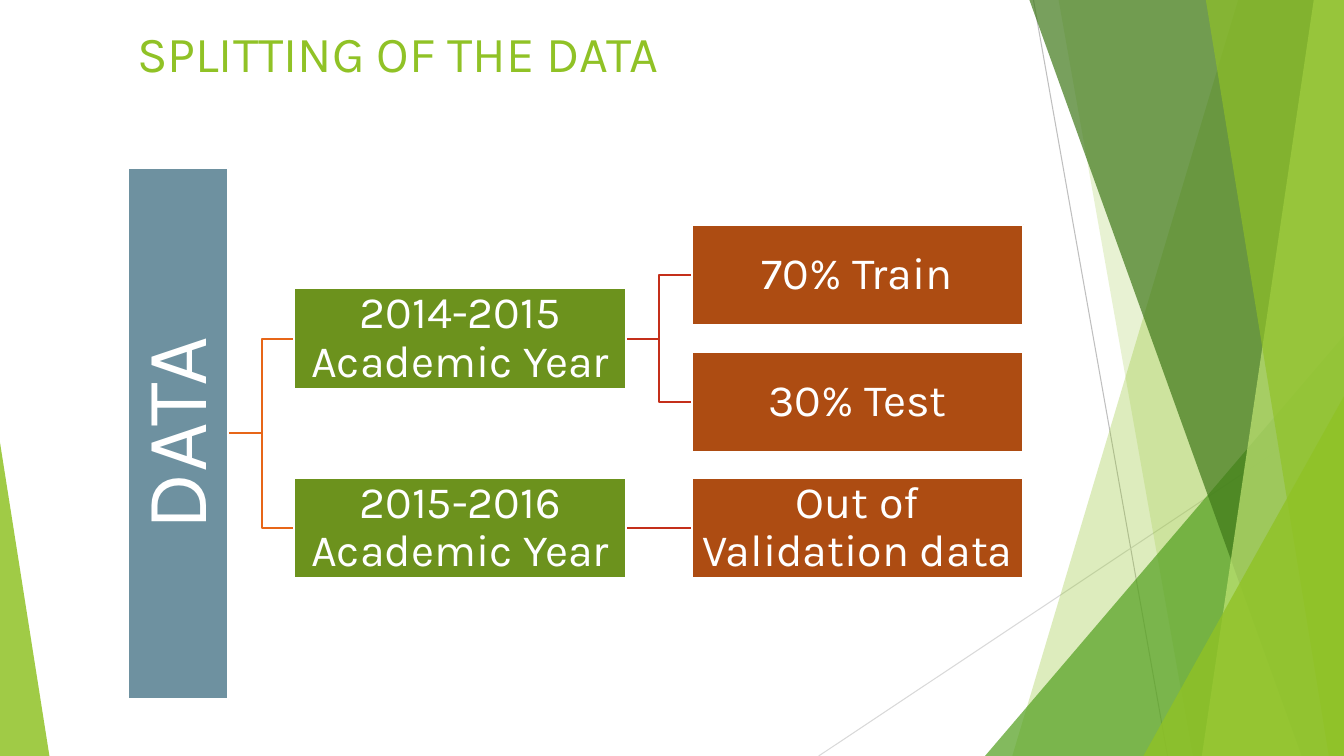
from lxml import etree
from pptx import Presentation
from pptx import util as u
from pptx.dml.color import RGBColor
from pptx.enum import shapes, text
from pptx.oxml import ns

WHITE = RGBColor(0xFF, 0xFF, 0xFF)
LIME = RGBColor(0x90, 0xC2, 0x26)
PALE = RGBColor(0xC0, 0xE4, 0x74)
GREEN = RGBColor(0x54, 0xA0, 0x21)
DARK = RGBColor(0x3F, 0x78, 0x19)
SLATE = RGBColor(0x6E, 0x91, 0xA0)
OLIVE = RGBColor(0x6C, 0x92, 0x1D)
RUST = RGBColor(0xAD, 0x4C, 0x12)
ORANGE = RGBColor(0xE7, 0x66, 0x18)
RED = RGBColor(0xC4, 0x2F, 0x1A)
GREY = RGBColor(0xBF, 0xBF, 0xBF)
SILVER = RGBColor(0xD9, 0xD9, 0xD9)
WIDE, HIGH = 13.33, 7.5

deck = Presentation()
deck.slide_width = u.Inches(WIDE)
deck.slide_height = u.Inches(HIGH)
slide = deck.slides.add_slide(deck.slide_layouts[5])
tree = slide.shapes


def wire(kind, ends, color, width):
    line = tree.add_connector(kind, *map(u.Inches, ends))
    line.line.color.rgb = color
    line.line.width = u.Pt(width)
    etree.SubElement(line._element.spPr, ns.qn("a:effectLst"))


def tint(shape, color, alpha=100):
    shape.shadow.inherit = False
    shape.fill.solid()
    shape.fill.fore_color.rgb = color
    shape.line.fill.background()
    if alpha < 100:
        mark = shape._element.spPr.find(".//" + ns.qn("a:srgbClr"))
        etree.SubElement(mark, ns.qn("a:alpha"), val=str(alpha * 1000))


straight = shapes.MSO_CONNECTOR.STRAIGHT
elbow = shapes.MSO_CONNECTOR.ELBOW
wire(straight, (10.25, 0, 11.58, HIGH), GREY, 0.75)
wire(straight, (WIDE, 4.03, 8.12, HIGH), SILVER, 0.75)

facets = [
    ("band", 12.28, 10.04, LIME, 30),
    ("band", 10.5, 11.83, LIME, 20),
    ("peak", 9.77, 3.33, 3.56, 1, GREEN, 72),
    ("band", 10.21, 12.91, DARK, 70),
    ("band", 13.03, 11.92, PALE, 70),
    ("band", 11.96, 13.18, LIME, 65),
    ("peak", 11.34, 3.93, 1.99, 1, LIME, 80),
    ("peak", 0, 4.39, 0.49, 0, LIME, 85),
]
for kind, *spot, color, alpha in facets:
    if kind == "band":
        top, foot = spot
        pen = tree.build_freeform(u.Inches(top), 0)
        rest = [(WIDE, 0), (WIDE, HIGH), (foot, HIGH)]
        pen.add_line_segments([(u.Inches(x), u.Inches(y)) for x, y in rest])
        facet = pen.convert_to_shape()
    else:
        left, top, width, tip = spot
        facet = tree.add_shape(
            shapes.MSO_SHAPE.ISOSCELES_TRIANGLE,
            *map(u.Inches, (left, top, width, HIGH - top)))
        facet.adjustments[0] = tip
    tint(facet, color, alpha)

title = tree.title
title.left, title.top = u.Inches(1.26), u.Inches(0.17)
title.width, title.height = u.Inches(10.83), u.Inches(1.62)
frame = title.text_frame
frame.text = "SPLITTING OF THE DATA"
frame.vertical_anchor = text.MSO_ANCHOR.TOP
head = frame.paragraphs[0]
head.alignment = text.PP_ALIGN.LEFT
head.font.name = "Karla"
head.font.size = u.Pt(36)
head.font.color.rgb = LIME

ROOT, YEAR, PART = 2.27, 2.92, 6.86
BOX, TALL = 3.29, 1
MID, FIRST, LAST = 4.3, 3.36, 5.24
TRAIN, TEST = 2.73, 3.99

for y in (FIRST, LAST):
    wire(elbow, (ROOT, MID, YEAR, y), ORANGE, 1.5)
for y in (TRAIN, TEST):
    wire(elbow, (YEAR + BOX, FIRST, PART, y), RED, 1.5)
wire(straight, (YEAR + BOX, LAST, PART, LAST), RED, 1.5)

boxes = [
    ("DATA", -0.87, MID, 5.27, SLATE, 62, 270),
    ("2014-2015 Academic Year", YEAR, FIRST, BOX, OLIVE, 32, 0),
    ("70% Train", PART, TRAIN, BOX, RUST, 32, 0),
    ("30% Test", PART, TEST, BOX, RUST, 32, 0),
    ("2015-2016 Academic Year", YEAR, LAST, BOX, OLIVE, 32, 0),
    ("Out of Validation data", PART, LAST, BOX, RUST, 32, 0),
]
for words, left, mid, width, color, size, turn in boxes:
    box = tree.add_shape(
        shapes.MSO_SHAPE.RECTANGLE,
        *map(u.Inches, (left, mid - TALL / 2, width, TALL)))
    tint(box, color)
    box.line.color.rgb = WHITE
    box.line.width = u.Pt(1.5)
    box.rotation = turn
    frame = box.text_frame
    frame.text = words
    frame.word_wrap = True
    frame.vertical_anchor = text.MSO_ANCHOR.MIDDLE
    pad = u.Inches(0.02)
    frame.margin_left = frame.margin_right = pad
    frame.margin_top = frame.margin_bottom = pad
    line = frame.paragraphs[0]
    line.alignment = text.PP_ALIGN.CENTER
    line.line_spacing = 0.9
    line.font.name = "Karla"
    line.font.size = u.Pt(size)
    line.font.color.rgb = WHITE

deck.save("out.pptx")
